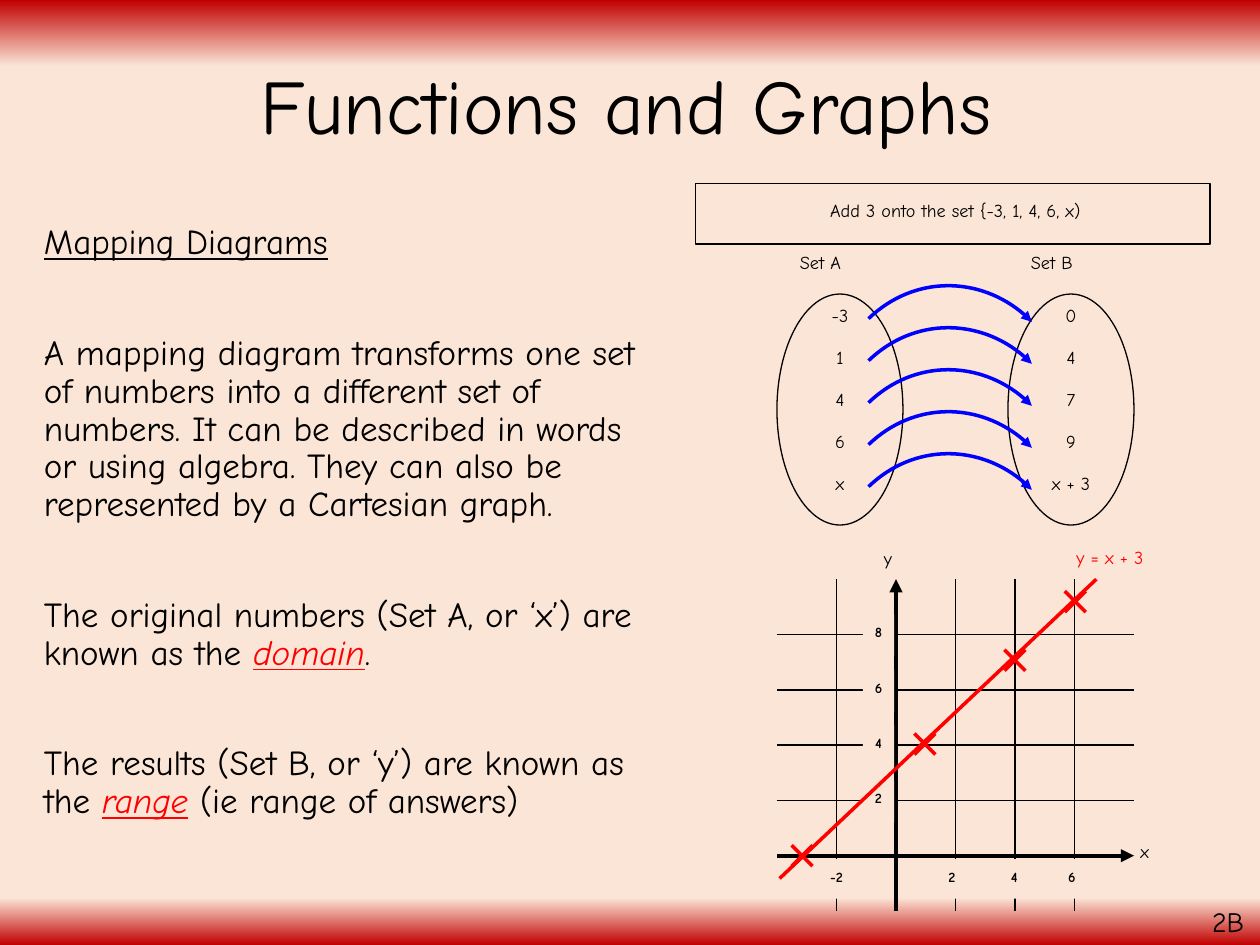
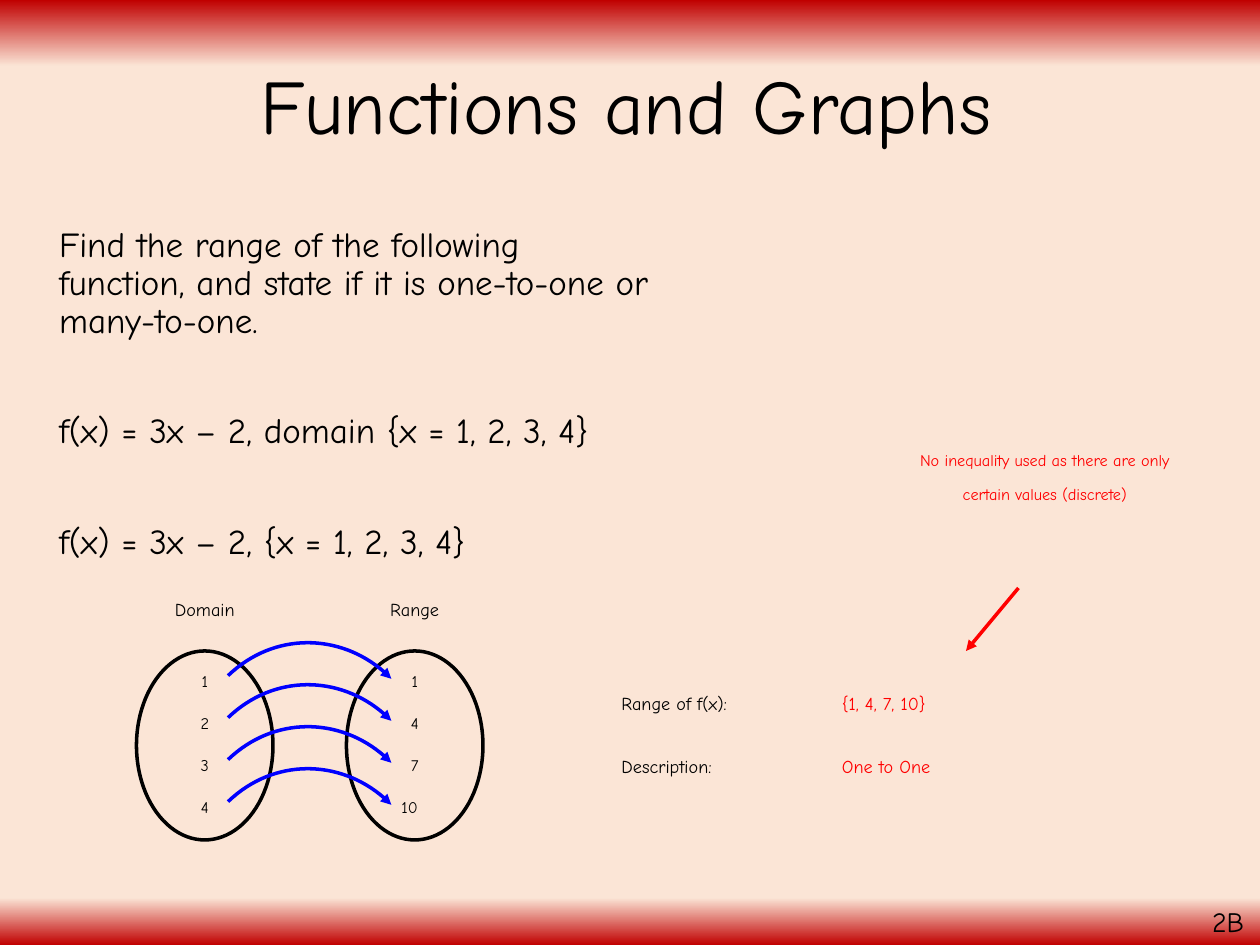
import pptx
import pptx.util
import pptx.dml.color
import pptx.enum.shapes
import pptx.enum.text
import pptx.oxml.ns
from lxml import etree

Pt = pptx.util.Pt
qn = pptx.oxml.ns.qn
SHAPE = pptx.enum.shapes.MSO_SHAPE
ALIGN = pptx.enum.text.PP_ALIGN

FONT = "Comic Neue"
COLOURS = {"text": "000000", "accent": "FF0000", "arrow": "0000FF",
           "paper": "FBE5D6", "edge": "C00000"}
BACKGROUND_STOPS = [(0, "edge"), (7, "paper"), (95, "paper"), (100, "edge")]
ROW_STEP = 24
ARC_RADIUS = 66
QUARTER_CIRCLE_HANDLE = 0.55

# Graph axes: the origin and the size of one grid square (2 units)
ORIGIN_X, ORIGIN_Y = 512, 489
GRID_X, GRID_Y = 34, 31.6
GRAPH_LEFT, GRAPH_RIGHT, GRAPH_TOP, GRAPH_BOTTOM = 444, 648, 331, 520.5


def rgb(colour):
    return pptx.dml.color.RGBColor.from_string(COLOURS[colour])


def format_run(run, size, colour="text", bold=None, raised=False):
    run.font.name = FONT
    run.font.size = Pt(size)
    run.font.bold = bold
    run.font.color.rgb = rgb(colour)
    if raised:
        run._r.get_or_add_rPr().set("baseline", "30000")


def style_line(shape, colour, width, arrow=False):
    shape.line.color.rgb = rgb(colour)
    shape.line.width = Pt(width)
    if arrow:
        etree.SubElement(shape.line._get_or_add_ln(), qn("a:tailEnd"), type="triangle")


def set_background(master):
    """Give every slide the red bands at top and bottom."""
    fill = master.background.fill
    fill.gradient()
    fill.gradient_angle = 270
    stops = master._element.xpath(".//p:bg//a:gsLst")[0]
    stops.clear()
    for percent, colour in BACKGROUND_STOPS:
        stop = etree.SubElement(stops, qn("a:gs"), pos=str(percent * 1000))
        etree.SubElement(stop, qn("a:srgbClr"), val=COLOURS[colour])


def add_text_box(slide, left, top, width, height):
    box = slide.shapes.add_textbox(Pt(left), Pt(top), Pt(width), Pt(height))
    box.text_frame.word_wrap = True
    return box.text_frame


def add_label(slide, text, left, top, width, size=18, colour="text",
              align=ALIGN.LEFT, raised=True):
    """Add a small label; raised text is set as superscript, as in the diagrams."""
    frame = add_text_box(slide, left, top, width, 1.2 * size + 7.2)
    frame.text = text
    frame.paragraphs[0].alignment = align
    format_run(frame.paragraphs[0].runs[0], size, colour, raised=raised)


def add_title(slide):
    frame = add_text_box(slide, 47.5, 10.5, 620.5, 104.5)
    frame.vertical_anchor = pptx.enum.text.MSO_ANCHOR.MIDDLE
    frame.text = "Functions and Graphs"
    paragraph = frame.paragraphs[0]
    paragraph.alignment = ALIGN.CENTER
    paragraph.line_spacing = 0.9
    format_run(paragraph.runs[0], 44)


def add_body(slide, left, top, width, paragraphs):
    """Each paragraph is a list of (text, style); style is plain, heading or term."""
    frame = add_text_box(slide, left, top, width, 356)
    for index, pieces in enumerate(paragraphs):
        paragraph = frame.add_paragraph() if index else frame.paragraphs[0]
        paragraph._p.get_or_add_pPr().set("marL", str(Pt(18)))
        paragraph.line_spacing = 0.9
        paragraph.space_before = Pt(41.6 if index else 0)
        for text, style in pieces:
            run = paragraph.add_run()
            run.text = text
            format_run(run, 20, "accent" if style == "term" else "text")
            run.font.underline = style != "plain"
            run.font.italic = style == "term"


def add_shape(slide, kind, left, top, width, height):
    shape = slide.shapes.add_shape(kind, Pt(left), Pt(top), Pt(width), Pt(height))
    shape.shadow.inherit = False
    shape.fill.background()
    return shape


def add_line(slide, start, end, colour="text", width=1.0, arrow=False):
    line = slide.shapes.add_connector(
        pptx.enum.shapes.MSO_CONNECTOR.STRAIGHT,
        Pt(start[0]), Pt(start[1]), Pt(end[0]), Pt(end[1]))
    style_line(line, colour, width, arrow)
    etree.SubElement(line._element.spPr, qn("a:effectLst"))


def add_set(slide, members, oval, line_width, first_top, size, last_shift=0):
    """Draw an oval holding a column of members; last_shift moves the last one."""
    left, top, width, height = oval
    for row, member in enumerate(members):
        shift = last_shift if row == len(members) - 1 else 0
        add_label(slide, member, left + width / 2 - 30 + shift,
                  first_top + row * ROW_STEP, 60, size, align=ALIGN.CENTER)
    style_line(add_shape(slide, SHAPE.OVAL, *oval), "text", line_width)


def add_arc_arrow(slide, left, top):
    """Add a quarter circle, bent from a straight segment and turned upright."""
    builder = slide.shapes.build_freeform(Pt(left), Pt(top))
    builder.add_line_segments([(Pt(left + ARC_RADIUS), Pt(top + ARC_RADIUS))], close=False)
    arc = builder.convert_to_shape()
    segment = arc._element.xpath(".//a:lnTo")[0]
    curve = etree.Element(qn("a:cubicBezTo"))
    for x, y in [(QUARTER_CIRCLE_HANDLE, 0), (1, 1 - QUARTER_CIRCLE_HANDLE), (1, 1)]:
        etree.SubElement(curve, qn("a:pt"), x=str(Pt(x * ARC_RADIUS)),
                         y=str(Pt(y * ARC_RADIUS)))
    segment.getparent().replace(segment, curve)
    arc.shadow.inherit = False
    arc.fill.background()
    arc.rotation = 316.1
    style_line(arc, "arrow", 2, arrow=True)


def add_mapping_arrows(slide, left, first_top, count):
    for row in range(count):
        add_arc_arrow(slide, left, first_top + row * ROW_STEP)


def add_grid_label(slide, value, centre_x, top, width=18, height=24.0):
    """Add an axis number on a patch that hides the grid line behind it."""
    patch = add_shape(slide, SHAPE.RECTANGLE, centre_x - width / 2, top, width, height)
    patch.fill.solid()
    patch.fill.fore_color.rgb = rgb("paper")
    patch.line.fill.background()
    frame = patch.text_frame
    frame.word_wrap = False
    frame.vertical_anchor = pptx.enum.text.MSO_ANCHOR.TOP
    frame.text = str(value)
    frame.paragraphs[0].alignment = ALIGN.CENTER
    format_run(frame.paragraphs[0].runs[0], 14, bold=True, raised=True)


def add_cross(slide, x, y, arm=6):
    for rise in (-arm, arm):
        add_line(slide, (x - arm, y + rise), (x + arm, y - rise), "accent", 2)


def add_graph(slide):
    for step in (4, 3, 2, 1, 0):
        y = ORIGIN_Y - step * GRID_Y
        is_axis = step == 0
        add_line(slide, (GRAPH_LEFT, y), (GRAPH_RIGHT, y),
                 width=2.5 if is_axis else 1, arrow=is_axis)
    for step in range(-1, 4):
        x = ORIGIN_X + step * GRID_X
        is_axis = step == 0
        add_line(slide, (x, GRAPH_BOTTOM), (x, GRAPH_TOP),
                 width=2.5 if is_axis else 1, arrow=is_axis)
    for step in range(1, 5):
        add_grid_label(slide, 2 * step, 502, ORIGIN_Y - step * GRID_Y - 11.5)
    for value, centre_x in [(6, 612.5), (4, 579.5), (2, 544), (-2, 478)]:
        add_grid_label(slide, value, centre_x, 491, 18 if value > 0 else 32, 22.5)
    for x, y in [(458.3, 489), (528.5, 425.2), (614.5, 343.8), (580, 377.3)]:
        add_cross(slide, x, y)
    add_line(slide, (445.5, 502), (626.5, GRAPH_TOP), "accent", 2)
    add_label(slide, "x", 644.5, 474.5, 31)
    add_label(slide, "y", 498, 307, 31)
    add_label(slide, "y = x + 3", 608, 306.5, 93, colour="accent")


def add_mapping_slide(slide):
    add_body(slide, 0, 124.8, 384, [
        [("Mapping Diagrams", "heading")],
        [("A mapping diagram transforms one set of numbers into a different set of "
          "numbers. It can be described in words or using algebra. They can also be "
          "represented by a Cartesian graph.", "plain")],
        [("The original numbers (Set A, or ‘x’) are known as the ", "plain"),
         ("domain", "term"), (".", "plain")],
        [("The results (Set B, or ‘y’) are known as the ", "plain"),
         ("range", "term"), (" (ie range of answers)", "plain")],
    ])
    add_label(slide, "Set A", 450, 138, 66)
    add_label(slide, "Set B", 582, 138, 66)
    add_label(slide, "Add 3 onto the set {-3, 1, 4, 6, x)", 390, 108, 312,
              align=ALIGN.CENTER)
    style_line(add_shape(slide, SHAPE.RECTANGLE, 397.5, 105, 294, 34.5), "text", 0.75)
    add_set(slide, ["-3", "1", "4", "6", "x"], (444, 168, 72, 132), 0.75, 168, 18)
    add_set(slide, ["0", "4", "7", "9", "x + 3"], (576, 168, 72, 132), 0.75, 168, 18)
    add_mapping_arrows(slide, 510, 150, 5)
    add_graph(slide)


def add_range_slide(slide):
    add_body(slide, 8.7, 126.3, 374, [
        [("Find the range of the following function, and state if it is one-to-one "
          "or many-to-one.", "plain")],
        [("f(x) = 3x – 2, domain {x = 1, 2, 3, 4}", "plain")],
        [("f(x) = 3x – 2, {x = 1, 2, 3, 4}", "plain")],
    ])
    add_label(slide, "Domain", 72, 336, 90, align=ALIGN.CENTER)
    add_label(slide, "Range", 192, 336, 90, align=ALIGN.CENTER)
    add_set(slide, ["1", "2", "3", "4"], (78, 372, 78, 108), 2, 378, 16)
    add_set(slide, ["1", "4", "7", "10"], (198, 372, 78, 108), 2, 378, 16, last_shift=-3)
    add_mapping_arrows(slide, 144, 354, 4)
    answers = [("Range of f(x):", "{1, 4, 7, 10}"), ("Description:", "One to One")]
    for row, (question, answer) in enumerate(answers):
        top = 390 + 36 * row
        add_label(slide, question, 348, top, 132)
        add_label(slide, answer, 474, top, 114, colour="accent")
    add_line(slide, (582, 336), (552, 372), "accent", 2, arrow=True)
    add_label(slide, "No inequality used as there are only certain values (discrete)",
              516, 252, 162, 16, "accent", ALIGN.CENTER)


def main():
    presentation = pptx.Presentation()
    presentation.slide_width = Pt(720)
    presentation.slide_height = Pt(540)
    set_background(presentation.slide_master)
    for add_content in (add_mapping_slide, add_range_slide):
        slide = presentation.slides.add_slide(presentation.slide_layouts[6])
        add_content(slide)
        add_title(slide)
        add_label(slide, "2B", 685.5, 513.5, 40, 16, raised=False)
    presentation.save("out.pptx")


if __name__ == "__main__":
    main()
